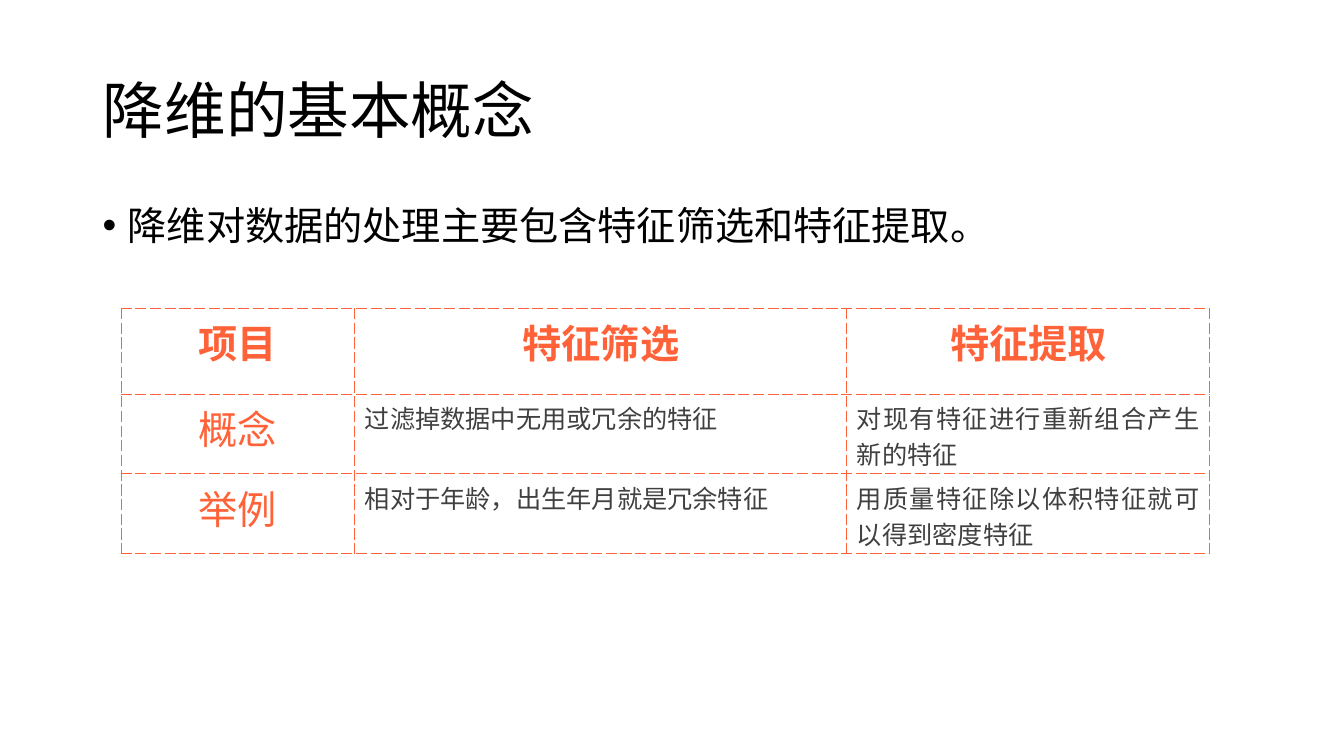
from lxml import etree
from pptx import Presentation
from pptx.dml.color import RGBColor
from pptx.enum import text
from pptx.oxml import ns
from pptx.util import Inches, Pt

BLACK = RGBColor(0, 0, 0)
WHITE = RGBColor(255, 255, 255)
GREY = RGBColor(0x40, 0x40, 0x40)
CORAL = RGBColor(0xFF, 0x62, 0x38)
FONT = "Noto Sans CJK SC"
ALIGN = text.PP_ALIGN

COLS = [2.32, 4.88, 3.6]
ROWS = [0.85, 0.79, 0.79]
CELLS = [
    ["项目", "特征筛选", "特征提取"],
    ["概念", "过滤掉数据中无用或冗余的特征", "对现有特征进行重新组合产生新的特征"],
    ["举例", "相对于年龄，出生年月就是冗余特征", "用质量特征除以体积特征就可以得到密度特征"],
]


def sub(node, tag, **attrs):
    return etree.SubElement(node, ns.qn(tag), **attrs)


class Deck:
    def __init__(self, font):
        self.font = font
        self.prs = Presentation()
        self.prs.slide_width = Inches(13.33)
        self.prs.slide_height = Inches(7.5)
        self.slide = self.prs.slides.add_slide(self.prs.slide_layouts[5])

    def add_run(self, para, words, size, color, bold=False, align=ALIGN.LEFT):
        para.alignment = align
        run = para.add_run()
        run.text = words
        font = run.font
        font.name, font.size, font.bold = self.font, Pt(size), bold
        font.color.rgb = color
        sub(run._r.get_or_add_rPr(), "a:ea", typeface=self.font)

    def title(self, words, x, y, w, h):
        shape = self.slide.shapes.title
        shape.left, shape.top = Inches(x), Inches(y)
        shape.width, shape.height = Inches(w), Inches(h)
        frame = shape.text_frame
        frame.vertical_anchor = text.MSO_ANCHOR.MIDDLE
        para = frame.paragraphs[0]
        para.line_spacing = 0.9
        self.add_run(para, words, 44, BLACK)

    def bullet(self, words, x, y, w, h):
        box = self.slide.shapes.add_textbox(
            Inches(x), Inches(y), Inches(w), Inches(h))
        box.text_frame.word_wrap = True
        para = box.text_frame.paragraphs[0]
        props = para._p.get_or_add_pPr()
        props.set("marL", str(Inches(0.25)))
        props.set("indent", str(-Inches(0.25)))
        sub(props, "a:buFont", typeface="Arial")
        sub(props, "a:buChar", char="•")
        para.line_spacing = 0.9
        self.add_run(para, words, 28, BLACK)

    def border(self, cell):
        """Draw dashed coral lines on all four sides."""
        props = cell._tc.get_or_add_tcPr()
        for side in "LRTB":
            line = sub(props, f"a:ln{side}", w=str(Pt(0.75)))
            sub(sub(line, "a:solidFill"), "a:srgbClr", val=str(CORAL))
            sub(line, "a:prstDash", val="sysDash")

    def table(self, x, y, cols, rows, cells):
        grid = self.slide.shapes.add_table(
            len(rows), len(cols), Inches(x), Inches(y),
            Inches(sum(cols)), Inches(sum(rows))).table
        grid.first_row = grid.horz_banding = False
        for col, width in zip(grid.columns, cols):
            col.width = Inches(width)
        for row, height in zip(grid.rows, rows):
            row.height = Inches(height)
        for r, line in enumerate(cells):
            for c, words in enumerate(line):
                cell = grid.cell(r, c)
                self.border(cell)
                cell.fill.solid()
                cell.fill.fore_color.rgb = WHITE
                para = cell.text_frame.paragraphs[0]
                if r == 0 or c == 0:
                    self.add_run(para, words, 28, CORAL, r == 0, ALIGN.CENTER)
                else:
                    align = ALIGN.JUSTIFY if c == 2 else ALIGN.LEFT
                    self.add_run(para, words, 18, GREY, align=align)


def main():
    deck = Deck(FONT)
    deck.title("降维的基本概念", 0.92, 0.4, 11.5, 1.45)
    deck.bullet("降维对数据的处理主要包含特征筛选和特征提取。", 0.92, 2, 11.5, 4.76)
    deck.table(1.2, 3.06, COLS, ROWS, CELLS)
    deck.prs.save("out.pptx")


if __name__ == "__main__":
    main()
